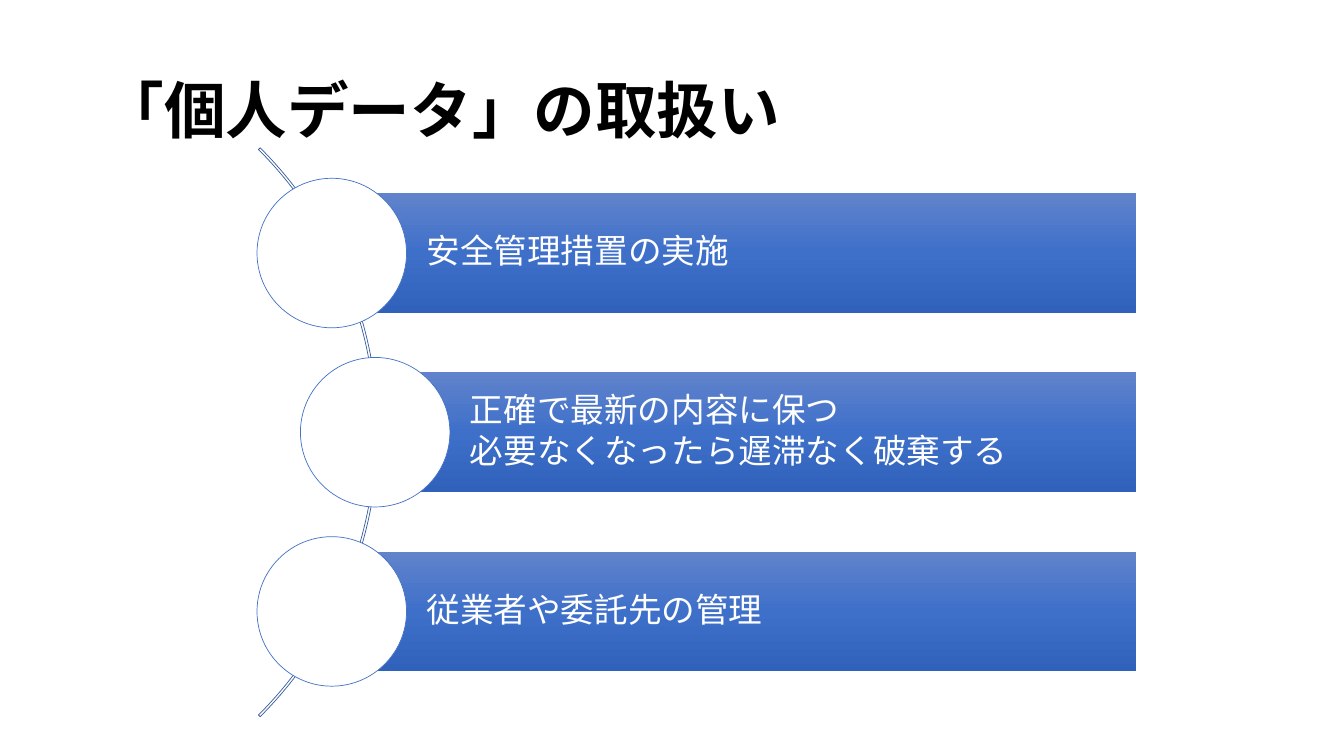
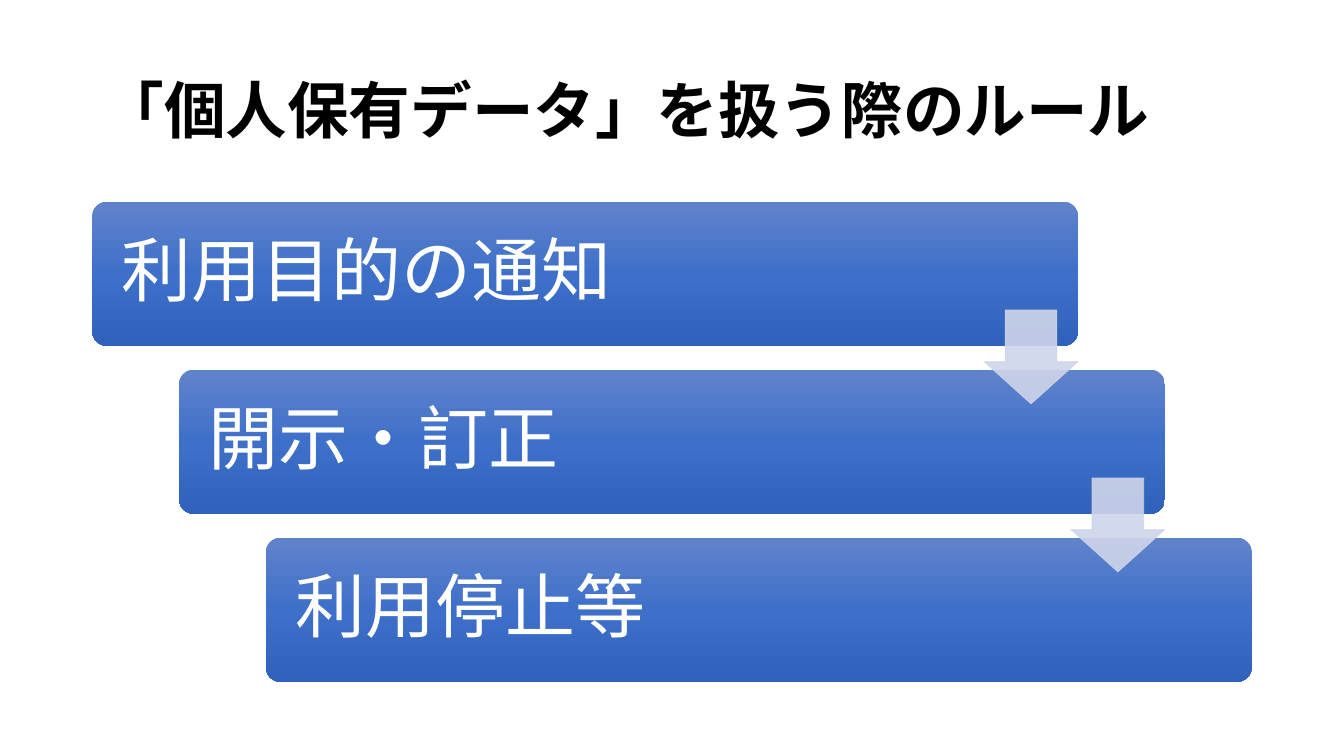
from copy import deepcopy

from lxml.etree import SubElement
from pptx import Presentation
from pptx.dml.color import RGBColor
from pptx.enum.shapes import MSO_SHAPE as Shape
from pptx.enum.text import MSO_ANCHOR as Anchor, MSO_AUTO_SIZE as AutoSize, PP_ALIGN as Align
from pptx.oxml.ns import qn
from pptx.util import Pt

FONT = "Noto Sans CJK JP"
COLORS = {
    "title": "000000",
    "white": "FFFFFF",
    "bar_top": "6183CB",
    "bar_middle": "3E70CA",
    "bar_bottom": "3062BB",
    "circle_line": "4472C4",
    "arc_line": "365B9D",
    "arrow": "CFD5EA",
}
BAR_GRADIENT = [(0, "bar_top"), (0.5, "bar_middle"), (1, "bar_bottom")]
TITLE_ONLY = 5


def rgb(name):
    return RGBColor.from_string(COLORS[name])


def set_text(box, lines, size, color, bold=False, space_after=0):
    frame = box.text_frame
    frame.word_wrap = True
    frame.auto_size = AutoSize.NONE
    frame.vertical_anchor = Anchor.MIDDLE
    frame.text = "\n".join(lines)
    for para in frame.paragraphs:
        para.alignment = Align.LEFT
        para.line_spacing = 0.9
        para.space_before = Pt(0)
        para.space_after = Pt(space_after)
        para.font.name = FONT
        para.font.size = Pt(size)
        para.font.bold = bold
        para.font.color.rgb = rgb(color)
        # Japanese glyphs take the East Asian typeface
        defaults = para._p.pPr.find(qn("a:defRPr"))
        SubElement(defaults, qn("a:ea"), typeface=FONT)


def add_titled_slide(deck, title):
    slide = deck.slides.add_slide(deck.slide_layouts[TITLE_ONLY])
    box = slide.shapes.title
    box.left, box.top, box.width, box.height = Pt(66), Pt(29), Pt(828), Pt(104.5)
    set_text(box, [title], 44, "title", bold=True)
    return slide


def add_plain_shape(slide, kind, left, top, width, height, fill=None, line=None):
    """Add a shape without shadow; fill and line are colour names or None."""
    shape = slide.shapes.add_shape(kind, Pt(left), Pt(top), Pt(width), Pt(height))
    shape.shadow.inherit = False
    if fill:
        shape.fill.solid()
        shape.fill.fore_color.rgb = rgb(fill)
    else:
        shape.fill.background()
    if line:
        shape.line.color.rgb = rgb(line)
        shape.line.width = Pt(0.5)
    else:
        shape.line.fill.background()
    return shape


def add_bar(slide, kind, left, top, width, height, lines, size, inset, space_after=0):
    """Add a gradient bar whose text starts at the given inset."""
    bar = add_plain_shape(slide, kind, left, top, width, height)
    bar.fill.gradient()
    bar.fill.gradient_angle = 270
    stop_list = bar._element.spPr.find(qn("a:gradFill")).find(qn("a:gsLst"))
    stop_list.append(deepcopy(stop_list[0]))
    for stop, (position, color) in zip(bar.fill.gradient_stops, BAR_GRADIENT):
        stop.position = position
        stop.color.rgb = rgb(color)
    set_text(bar, lines, size, "white", space_after=space_after)
    bar.text_frame.margin_left = Pt(inset)
    return bar


def add_arrow(slide, left, top, size):
    arrow = add_plain_shape(slide, Shape.DOWN_ARROW, left, top, size, size, "arrow", "arrow")
    arrow.adjustments[0] = 0.55
    arrow.adjustments[1] = 0.45
    for color in arrow._element.spPr.iter(qn("a:srgbClr")):
        SubElement(color, qn("a:alpha"), val="90000")


def build_handling_slide(deck):
    slide = add_titled_slide(deck, "「個人データ」の取扱い")
    duties = [
        (237, ["安全管理措置の実施"]),
        (268, ["正確で最新の内容に保つ", "必要なくなったら遅滞なく破棄する"]),
        (237, ["従業者や委託先の管理"]),
    ]
    first_top, step, height, right = 138, 128, 85.5, 811.5
    diameter, arc_size, arc_right = 106.8, 574.6, 270

    middle = first_top + step + height / 2
    arc = add_plain_shape(slide, Shape.BLOCK_ARC, arc_right - arc_size, middle - arc_size / 2,
                          arc_size, arc_size, line="arc_line")
    for index, value in enumerate((189, 27, 0.003)):
        arc.adjustments[index] = value

    for row, (left, lines) in enumerate(duties):
        top = first_top + row * step
        add_bar(slide, Shape.RECTANGLE, left, top, right - left, height, lines, 24, 67.7,
                space_after=3)
        add_plain_shape(slide, Shape.OVAL, left - diameter / 2, top + (height - diameter) / 2,
                        diameter, diameter, "white", "circle_line")


def build_rules_slide(deck):
    slide = add_titled_slide(deck, "「個人保有データ」を扱う際のルール")
    rules = ["利用目的の通知", "開示・訂正", "利用停止等"]
    width, height, arrow_size = 704, 103, 67
    corners = [(66 + 62 * row, 144 + 120 * row) for row in range(len(rules))]
    for (left, top), rule in zip(corners, rules):
        bar = add_bar(slide, Shape.ROUNDED_RECTANGLE, left, top, width, height, [rule], 50, 18)
        bar.adjustments[0] = 0.1
    for left, top in corners[:-1]:
        add_arrow(slide, left + width - arrow_size, top + 77.5, arrow_size)


def main():
    deck = Presentation()
    deck.slide_width, deck.slide_height = Pt(960), Pt(540)
    build_handling_slide(deck)
    build_rules_slide(deck)
    deck.save("out.pptx")


if __name__ == "__main__":
    main()
